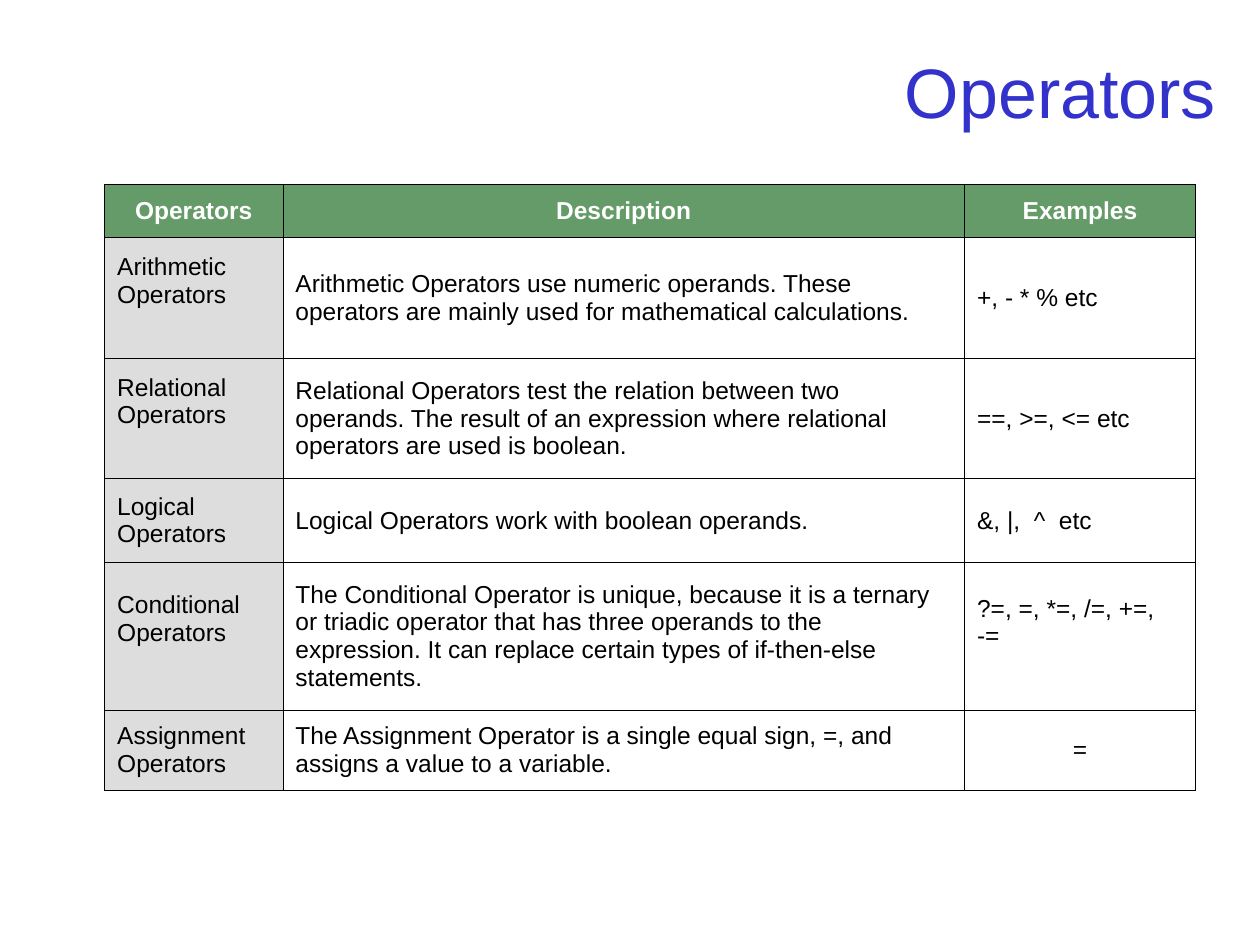
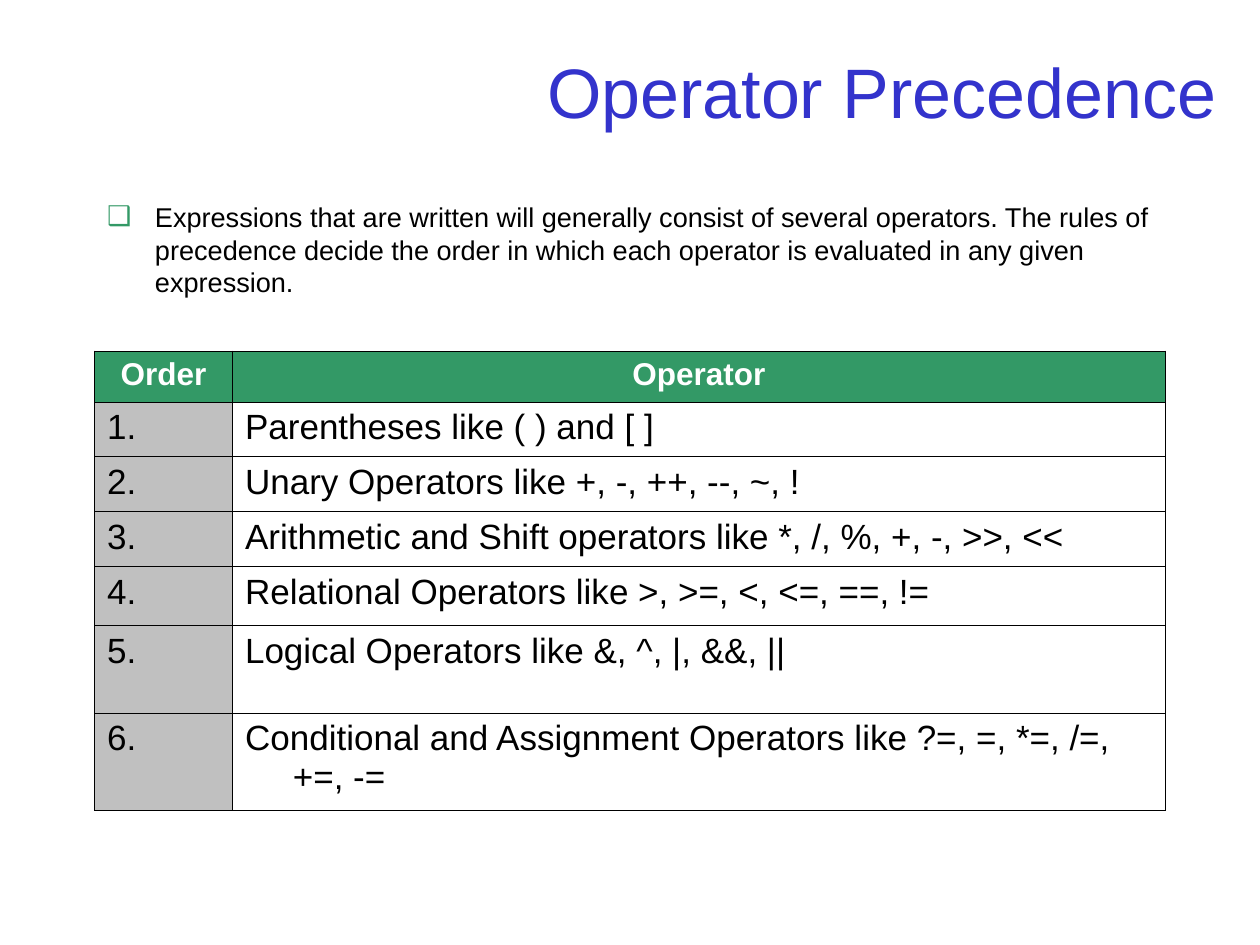
from dataclasses import dataclass

from lxml import etree
from pptx import Presentation
from pptx.dml.color import RGBColor
from pptx.enum.text import MSO_ANCHOR, MSO_AUTO_SIZE, PP_ALIGN
from pptx.oxml.ns import qn
from pptx.util import Inches, Pt

LEFT, CENTER, RIGHT = PP_ALIGN.LEFT, PP_ALIGN.CENTER, PP_ALIGN.RIGHT
TOP, MIDDLE = MSO_ANCHOR.TOP, MSO_ANCHOR.MIDDLE
TITLE_AND_BODY, TITLE_ONLY = 1, 5


# Theme: colours, type sizes and shared measures
@dataclass(frozen=True)
class Theme:
    font: str = "Arial"
    title: str = "3333CC"
    text: str = "000000"
    white: str = "FFFFFF"
    sage: str = "659B68"
    green: str = "339966"
    pale_grey: str = "DDDDDD"
    grey: str = "C0C0C0"
    title_size: float = 40
    intro_size: float = 15.5
    hanging: float = 0.38
    border: float = 0.45


THEME = Theme()

# Content
KINDS_TITLE = "Operators"
KINDS_HEADER = ("Operators", "Description", "Examples")
KINDS = [
    ("Arithmetic Operators",
     "Arithmetic Operators use numeric operands. These operators are mainly "
     "used for mathematical calculations.",
     "+, - * % etc"),
    ("Relational Operators",
     "Relational Operators test the relation between two operands. The result "
     "of an expression where relational operators are used is boolean.",
     "==, >=, <= etc"),
    ("Logical Operators",
     "Logical Operators work with boolean operands.",
     "&, |,  ^  etc"),
    ("Conditional Operators",
     "The Conditional Operator is unique, because it is a ternary or triadic "
     "operator that has three operands to the expression. It can replace "
     "certain types of if-then-else statements.",
     "?=, =, *=, /=, +=, -="),
    ("Assignment Operators",
     "The Assignment Operator is a single equal sign, =, and assigns a value "
     "to a variable.",
     "="),
]
PRECEDENCE_TITLE = "Operator Precedence"
PRECEDENCE_INTRO = (
    "Expressions that are written will generally consist of several operators. "
    "The rules of precedence decide the order in which each operator is "
    "evaluated in any given expression.")
PRECEDENCE_HEADER = ("Order", "Operator")
PRECEDENCE = [
    "Parentheses like ( ) and [ ]",
    "Unary Operators like +, -, ++, --, ~, !",
    "Arithmetic and Shift operators like *, /, %, +, -, >>, <<",
    "Relational Operators like >, >=, <, <=, ==, !=",
    "Logical Operators like &, ^, |, &&, ||",
    "Conditional and Assignment Operators like ?=, =, *=, /=, +=, -=",
]


# Shared helpers
def format_text(paragraph, size, color, align=LEFT, bold=False, before=0, hanging=0):
    paragraph.alignment = align
    paragraph.space_before = Pt(before)
    properties = paragraph._p.get_or_add_pPr()
    properties.set("marL", str(Inches(hanging)))
    properties.set("indent", str(-Inches(hanging)))
    for run in paragraph.runs:
        run.font.name = THEME.font
        run.font.size = Pt(size)
        run.font.bold = bold
        run.font.color.rgb = RGBColor.from_string(color)


def place(shape, left, top, width, height):
    shape.left, shape.top = Inches(left), Inches(top)
    shape.width, shape.height = Inches(width), Inches(height)


def add_titled_slide(deck, layout, title):
    slide = deck.slides.add_slide(deck.slide_layouts[layout])
    heading = slide.shapes.title
    place(heading, 0.75, 0.28, 9, 0.87)
    frame = heading.text_frame
    frame.text = title
    frame.auto_size = MSO_AUTO_SIZE.NONE
    frame.vertical_anchor = MIDDLE
    format_text(frame.paragraphs[0], THEME.title_size, THEME.title, RIGHT)
    return slide


def add_borders(cell):
    properties = cell._tc.get_or_add_tcPr()
    for side in ("lnL", "lnR", "lnT", "lnB"):
        line = etree.SubElement(properties, qn(f"a:{side}"), w=str(Pt(THEME.border)))
        fill = etree.SubElement(line, qn("a:solidFill"))
        etree.SubElement(fill, qn("a:srgbClr"), val=THEME.text)


def add_grid(slide, left, top, columns, heights, rows, header_fill, label_fill,
             header_size, text_size, anchor, **spacing):
    """Table with a coloured header row and a grey first column."""
    frame = slide.shapes.add_table(
        len(rows), len(columns), Inches(left), Inches(top),
        Inches(sum(columns)), Inches(sum(heights)))
    table = frame.table
    table.horz_banding = False
    for column, width in zip(table.columns, columns):
        column.width = Inches(width)
    for r, (height, texts) in enumerate(zip(heights, rows)):
        table.rows[r].height = Inches(height)
        for c, text in enumerate(texts):
            cell = table.cell(r, c)
            add_borders(cell)
            fill = header_fill if r == 0 else label_fill if c == 0 else THEME.white
            cell.fill.solid()
            cell.fill.fore_color.rgb = RGBColor.from_string(fill)
            cell.vertical_anchor = anchor
            cell.text_frame.text = text
            paragraph = cell.text_frame.paragraphs[0]
            if r == 0:
                format_text(paragraph, header_size, THEME.white, CENTER, True, **spacing)
            else:
                format_text(paragraph, text_size, THEME.text, **spacing)
    return table


deck = Presentation()
deck.slide_width, deck.slide_height = Inches(10), Inches(7.5)

# Slide 1: kinds of operators
slide = add_titled_slide(deck, TITLE_ONLY, KINDS_TITLE)
kinds = add_grid(
    slide, 0.83, 1.465, (1.415, 5.41, 1.835), (0.42, 0.96, 0.955, 0.665, 1.17, 0.64),
    [KINDS_HEADER, *KINDS], THEME.sage, THEME.pale_grey, 14, 14, MIDDLE, before=3.5)
# These cells sit above the middle of their row
for row, column, lift in ((1, 0, 0.32), (2, 0, 0.32), (4, 0, 0.32), (4, 2, 0.27)):
    kinds.cell(row, column).margin_bottom = Inches(lift)
kinds.cell(5, 2).text_frame.paragraphs[0].alignment = CENTER

# Slide 2: order of precedence
slide = add_titled_slide(deck, TITLE_AND_BODY, PRECEDENCE_TITLE)
intro = slide.placeholders[1]
place(intro, 0.75, 1.54, 8.58, 0.94)
intro.text_frame.text = PRECEDENCE_INTRO
intro.text_frame.auto_size = MSO_AUTO_SIZE.NONE
sentence = intro.text_frame.paragraphs[0]
format_text(sentence, THEME.intro_size, THEME.text, before=5, hanging=THEME.hanging)
bullet = sentence._p.get_or_add_pPr()
bullet_color = etree.SubElement(bullet, qn("a:buClr"))
etree.SubElement(bullet_color, qn("a:srgbClr"), val=THEME.green)
etree.SubElement(bullet, qn("a:buFont"), typeface=THEME.font)
etree.SubElement(bullet, qn("a:buChar"), char="\u2751")

numbered = [(f"{number}.", text) for number, text in enumerate(PRECEDENCE, 1)]
add_grid(
    slide, 0.75, 2.785, (1.095, 7.405), (0.405, 0.435, 0.435, 0.435, 0.47, 0.695, 0.77),
    [PRECEDENCE_HEADER, *numbered], THEME.green, THEME.grey, 18, 20, TOP,
    hanging=THEME.hanging)

deck.save("out.pptx")
